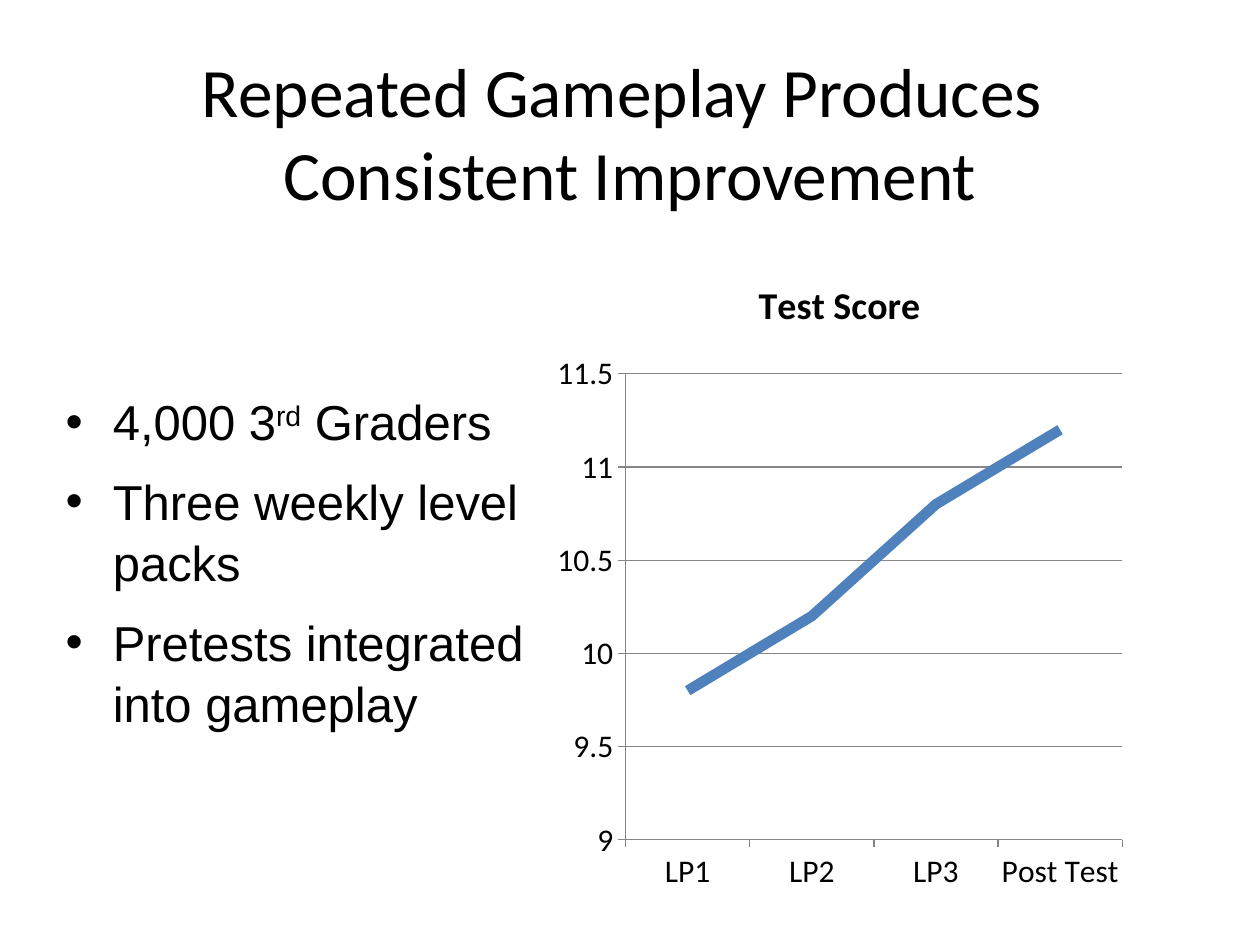
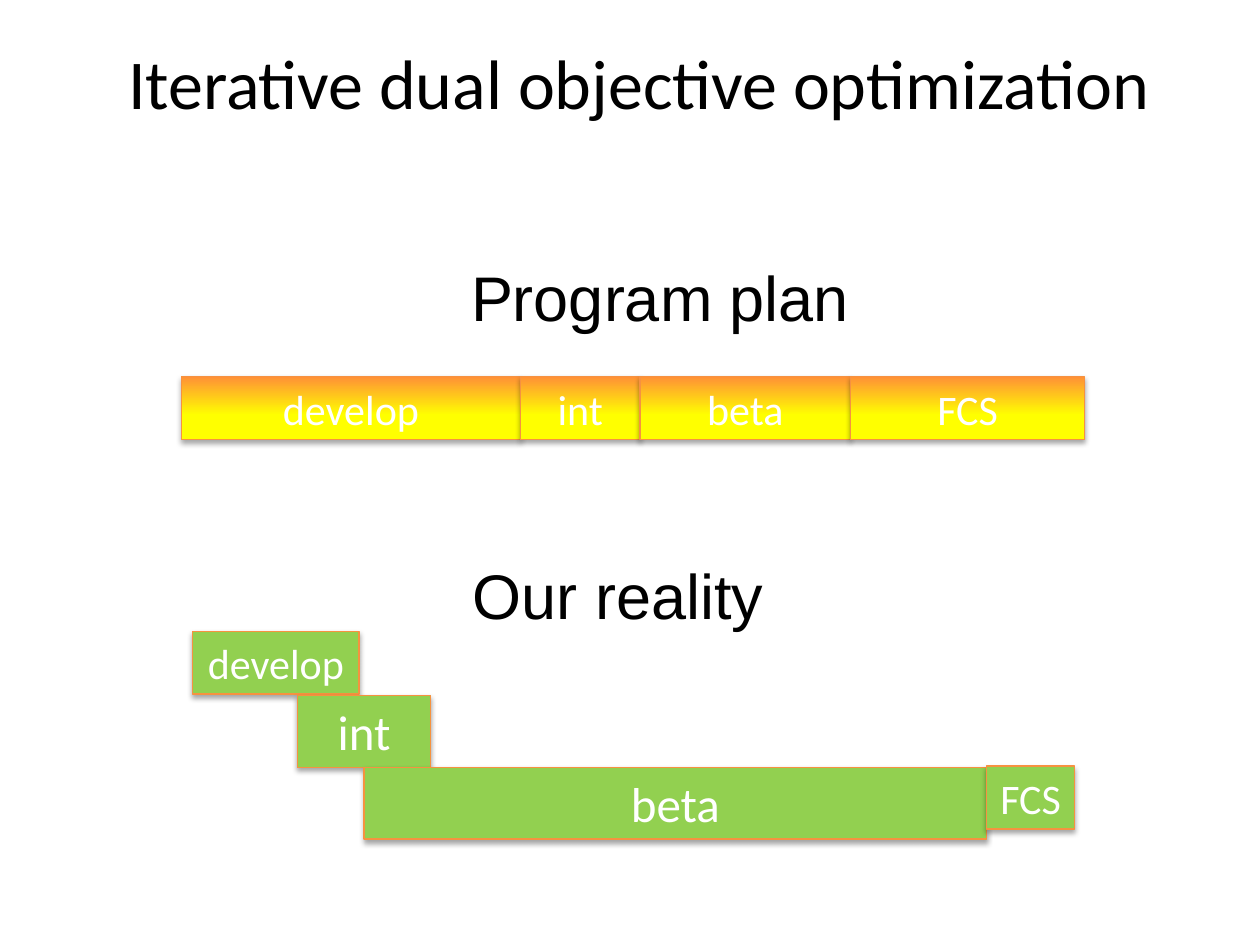
from dataclasses import dataclass

from lxml.etree import SubElement
from pptx import Presentation
from pptx.chart.data import CategoryChartData
from pptx.dml.color import RGBColor as RGB
from pptx.enum.chart import XL_CHART_TYPE as ChartType, XL_TICK_MARK as Tick
from pptx.enum.shapes import MSO_SHAPE as Shape
from pptx.enum.text import MSO_ANCHOR as Anchor, MSO_AUTO_SIZE as AutoSize, PP_ALIGN as Align
from pptx.oxml.ns import qn
from pptx.util import Inches, Pt


@dataclass(frozen=True)
class Theme:
    black: RGB = RGB(0, 0, 0)
    white: RGB = RGB(255, 255, 255)
    axis: RGB = RGB.from_string("868686")
    score: RGB = RGB.from_string("4F81BD")
    yellow: RGB = RGB.from_string("FFFF00")
    orange: RGB = RGB.from_string("FF9136")
    outline: RGB = RGB.from_string("F69240")
    green: RGB = RGB.from_string("92D050")
    heading_font: str = "Calibri"
    text_font: str = "Arial"
    title: float = 40
    long_title: float = 39.6
    label: float = 36
    list: float = 28
    bar: float = 24
    big_bar: float = 28
    chart: float = 18
    chart_title: float = 21.6


theme = Theme()
deck = Presentation()
deck.slide_width, deck.slide_height = Inches(10), Inches(7.5)
COLUMN, ROW = deck.slide_width / 100, deck.slide_height / 75


def cells(left, top, width, height):
    """Turn grid columns and rows into a position and a size."""
    return int(left * COLUMN), int(top * ROW), int(width * COLUMN), int(height * ROW)


def style(paragraph, size, name, color=theme.black, align=None):
    font = paragraph.font
    font.size, font.name, font.color.rgb = Pt(size), name, color
    paragraph.alignment = align


# Pages and titles
pages = []
for layout, title, size, area in (
    (1, "Repeated Gameplay Produces \vConsistent Improvement", theme.long_title, (5, 4.2, 90, 12.5)),
    (5, "Iterative dual objective optimization", theme.title, (5.7, 0.2, 90, 12.5)),
):
    page = deck.slides.add_slide(deck.slide_layouts[layout])
    heading = page.shapes.title
    heading.left, heading.top, heading.width, heading.height = cells(*area)
    heading.text_frame.text = title
    heading.text_frame.auto_size = AutoSize.NONE
    heading.text_frame.vertical_anchor = Anchor.MIDDLE
    style(heading.text_frame.paragraphs[0], size, theme.heading_font, align=Align.CENTER)
    pages.append(page)
results_page, process_page = pages

# Test score chart
data = CategoryChartData()
data.categories = ["LP1", "LP2", "LP3", "Post Test"]
data.add_series("Test Score", [9.8, 10.2, 10.8, 11.2])
chart = results_page.shapes.add_chart(ChartType.LINE, *cells(43.3, 20, 46.7, 51.7), data).chart
chart.font.size, chart.font.name = Pt(theme.chart), theme.heading_font
chart.font.color.rgb = theme.black
chart.has_legend = False
chart.has_title = True
chart.chart_title.include_in_layout = False
chart.chart_title.text_frame.text = "Test Score"
caption = chart.chart_title.text_frame.paragraphs[0]
style(caption, theme.chart_title, theme.heading_font)
caption.font.bold = True

scores = chart.value_axis
scores.minimum_scale, scores.maximum_scale, scores.major_unit = 9, 11.5, 0.5
scores.has_major_gridlines = True
for axis in (chart.category_axis, scores):
    axis.major_tick_mark = Tick.OUTSIDE
    axis.minor_tick_mark = Tick.NONE
for rule in (chart.category_axis, scores, scores.major_gridlines):
    rule.format.line.color.rgb = theme.axis
    rule.format.line.width = Pt(0.75)

chart.plots[0].vary_by_categories = False
series = chart.plots[0].series[0]
series.smooth = False
series.format.line.color.rgb = theme.score
series.format.line.width = Pt(6)

# Study facts
body = results_page.placeholders[1]
body.left, body.top, body.width, body.height = cells(4.2, 29.2, 43.3, 28.8)
frame = body.text_frame
frame.auto_size = AutoSize.NONE
frame.vertical_anchor = Anchor.TOP
frame.text = "\nThree weekly level packs\nPretests integrated into gameplay"
for para in frame.paragraphs:
    para.space_before, para.space_after = Pt(0), Pt(10)
    para.line_spacing = 1.05
    style(para, theme.list, theme.text_font)
graders = frame.paragraphs[0]
graders.line_spacing = 1.3
for text in ("4,000 3", "rd", " Graders"):
    span = graders.add_run()
    span.text = text
    if text == "rd":
        span.font._element.set("baseline", "30000")

# Program plan bars run end to end; reality bars step down
plan, left = [], 14.4
for name, width in (("develop", 26.9), ("int", 9.5), ("beta", 16.7), ("FCS", 18.6)):
    plan.append((name, theme.bar, (left, 29.9, width, 5)))
    left += width
reality = [
    ("develop", theme.bar, (15.3, 50.1, 13.2, 5)),
    ("int", theme.big_bar, (23.6, 55.2, 10.6, 5.7)),
    ("beta", theme.big_bar, (28.9, 60.9, 49.4, 5.7)),
    ("FCS", theme.bar, (78.3, 60.8, 7, 5)),
]
for bars in (plan, reality):
    group = process_page.shapes.add_group_shape()
    for name, size, area in bars:
        bar = group.shapes.add_shape(Shape.RECTANGLE, *cells(*area))
        bar.line.color.rgb, bar.line.width = theme.outline, Pt(0.75)
        if bars is plan:
            bar.fill.gradient()
            bar.fill.gradient_angle = 90
            stops = zip(bar.fill.gradient_stops, (0.39, 1), (theme.yellow, theme.orange))
            for stop, position, color in stops:
                stop.position, stop.color.rgb = position, color
        else:
            bar.fill.solid()
            bar.fill.fore_color.rgb = theme.green

        # Soft shadow straight below the bar
        bar.shadow.inherit = False
        effects = bar._element.spPr.find(qn("a:effectLst"))
        shadow = SubElement(effects, qn("a:outerShdw"), blurRad=str(Pt(3.1)),
                            dist=str(Pt(1.8)), dir="5400000", rotWithShape="0")
        tint = SubElement(shadow, qn("a:srgbClr"), val=str(theme.black))
        SubElement(tint, qn("a:alpha"), val="35000")

        bar.text_frame.text = name
        style(bar.text_frame.paragraphs[0], size, theme.heading_font, theme.white, Align.CENTER)

# Row labels
for text, area, align in (
    ("Our reality", (36.4, 43.7, 25.3, 7.1), Align.CENTER),
    ("Program plan", (36.4, 20, 32.3, 7.1), Align.LEFT),
):
    box = process_page.shapes.add_textbox(*cells(*area))
    box.text_frame.word_wrap = False
    box.text_frame.text = text
    style(box.text_frame.paragraphs[0], theme.label, theme.text_font, align=align)

deck.save("out.pptx")
